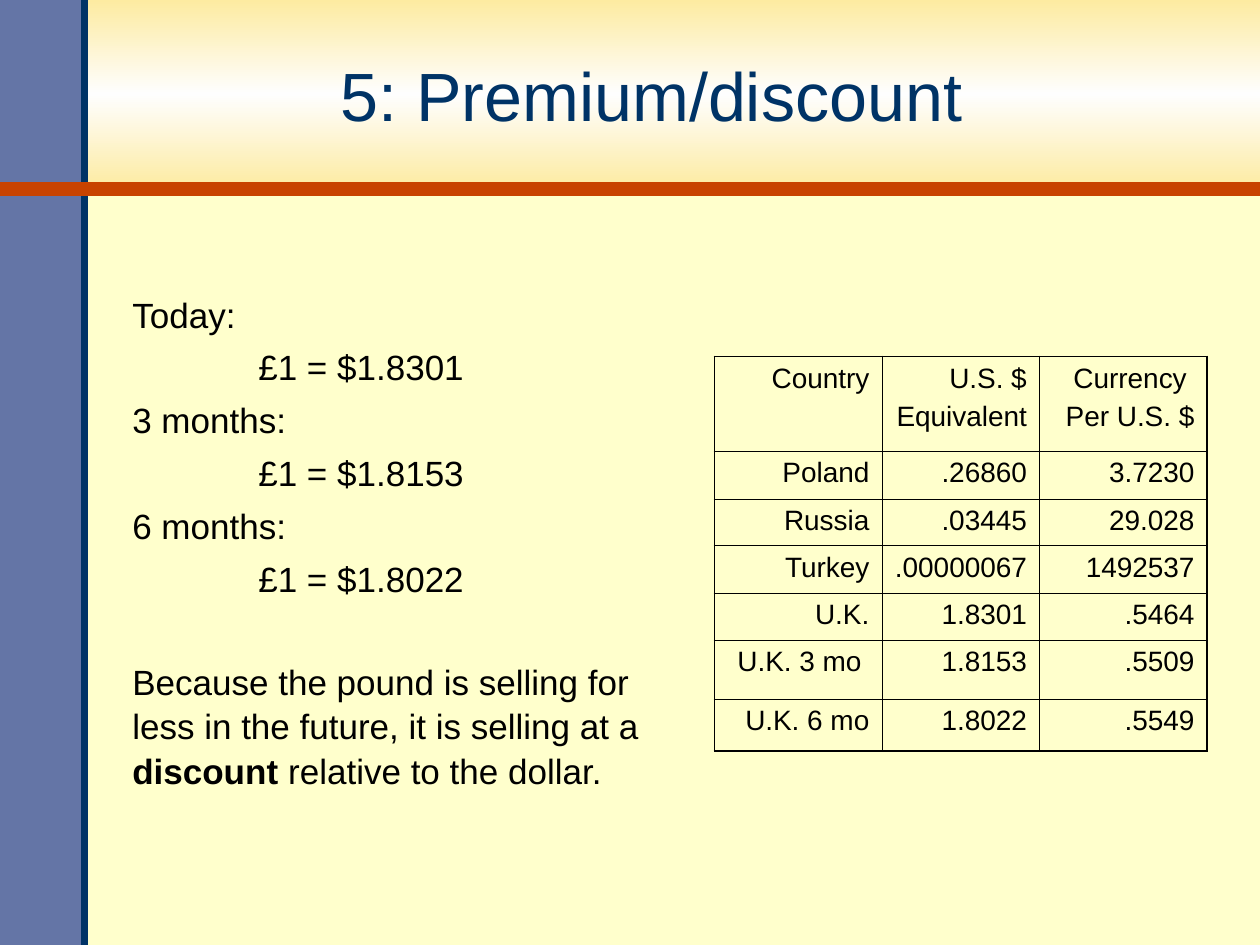
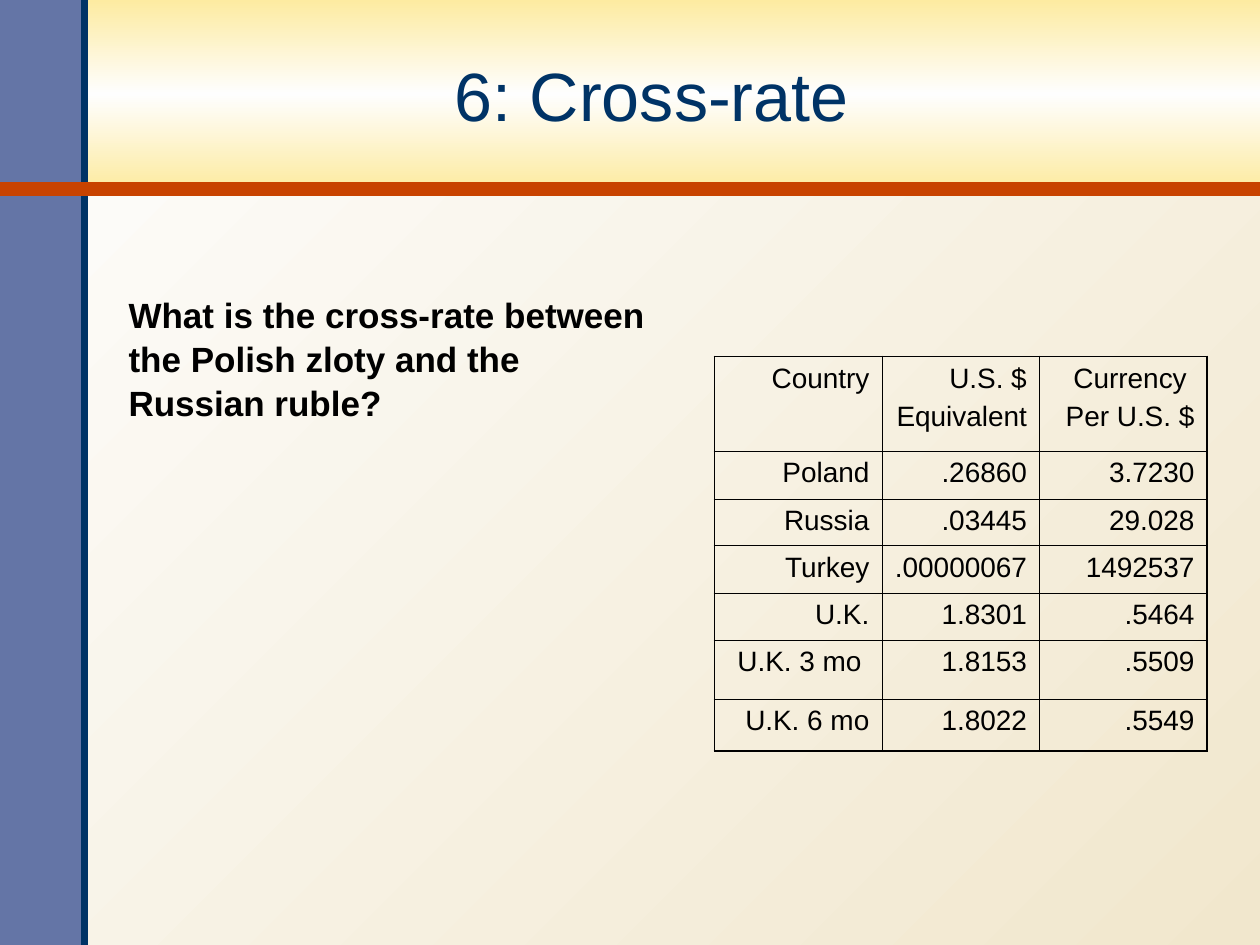
from copy import deepcopy

from lxml import etree
from pptx import Presentation
from pptx import util as u
from pptx.dml.color import RGBColor
from pptx.enum import shapes, text
from pptx.oxml.ns import qn

WIDTH, HEIGHT = u.Inches(10), u.Inches(7.5)
FONT = "Arial"
BLACK = RGBColor(0x00, 0x00, 0x00)
NAVY = RGBColor(0x00, 0x33, 0x66)
SLATE = RGBColor(0x64, 0x75, 0xA6)
RUST = RGBColor(0xC8, 0x43, 0x00)
GOLD = RGBColor(0xFD, 0xEB, 0xA1)
WHITE = RGBColor(0xFE, 0xFE, 0xFE)
CREAM = RGBColor(0xFF, 0xFF, 0xCC)
SAND = RGBColor(0xF1, 0xE7, 0xCD)

BAND_HEIGHT = HEIGHT // 5
SIDEBAR_WIDTH = u.Inches(0.67)
THIN, THICK = u.Pt(0.45), u.Pt(1.08)
COLUMN_WIDTHS = [1.33, 1.25, 1.33]
ROW_HEIGHTS = [0.75, 0.38, 0.37, 0.38, 0.37, 0.47, 0.41]
RATES = [
    ["Country", "U.S. $\nEquivalent", "Currency \nPer U.S. $"],
    ["Poland", ".26860", "3.7230"],
    ["Russia", ".03445", "29.028"],
    ["Turkey", ".00000067", "1492537"],
    ["U.K.", "1.8301", ".5464"],
    ["U.K. 3 mo ", "1.8153", ".5509"],
    ["U.K. 6 mo", "1.8022", ".5549"],
]


def set_font(paragraph, size, colour=BLACK, bold=False):
    font = paragraph.font
    font.name, font.size, font.bold = FONT, u.Pt(size), bold
    font.color.rgb = colour


def paint_gradient(fill, element, colours, angle):
    """Spread the colours evenly; element is the XML that holds the fill."""
    fill.gradient()
    fill.gradient_angle = angle
    stop_list = element.xpath(".//a:gsLst")[0]
    for _ in colours[2:]:
        stop_list.append(deepcopy(stop_list[-1]))
    for index, (stop, colour) in enumerate(zip(fill.gradient_stops, colours)):
        stop.position = index / (len(colours) - 1)
        stop.color.rgb = colour


def add_block(slide, width, height):
    block = slide.shapes.add_shape(
        shapes.MSO_SHAPE.RECTANGLE, 0, 0, width, height)
    block.shadow.inherit = False
    block.line.fill.background()
    return block


def add_rule(slide, start, end, colour, weight):
    rule = slide.shapes.add_connector(
        shapes.MSO_CONNECTOR.STRAIGHT, *start, *end)
    rule.line.color.rgb = colour
    rule.line.width = u.Pt(weight)
    etree.SubElement(rule.element.spPr, qn("a:effectLst"))
    return rule


def build_frame(slide):
    """Draw the bands and rules, then move them to the slide's layout."""
    band = add_block(slide, WIDTH, BAND_HEIGHT)
    paint_gradient(band.fill, band.element, [GOLD, WHITE, GOLD], 90)
    sidebar = add_block(slide, SIDEBAR_WIDTH, HEIGHT)
    sidebar.fill.solid()
    sidebar.fill.fore_color.rgb = SLATE
    upright = add_rule(slide, (SIDEBAR_WIDTH, HEIGHT), (SIDEBAR_WIDTH, 0),
                       NAVY, 4)
    crossbar = add_rule(slide, (0, BAND_HEIGHT), (WIDTH, BAND_HEIGHT), RUST, 8)
    layout_tree = slide.slide_layout.element.cSld.spTree
    for index, shape in enumerate([band, sidebar, upright, crossbar], start=2):
        layout_tree.insert(index, shape.element)


def set_title(slide, wording):
    title = slide.shapes.title
    title.left, title.top = u.Inches(0.65), u.Inches(0.15)
    title.width, title.height = u.Inches(9.04), u.Inches(1.2)
    title.text_frame.text = wording
    title.text_frame.vertical_anchor = text.MSO_ANCHOR.MIDDLE
    paragraph = title.text_frame.paragraphs[0]
    paragraph.alignment = text.PP_ALIGN.CENTER
    set_font(paragraph, 39, NAVY)


def add_body(slide, left_inset):
    box = slide.shapes.add_textbox(
        u.Inches(0.85), u.Inches(1.81), u.Inches(4.45), u.Inches(5.19))
    frame = box.text_frame
    frame.word_wrap = True
    frame.margin_left, frame.margin_top = u.Inches(left_inset), u.Inches(0.5)
    return frame


def add_line(frame, wording, space=5, bold=False):
    """Add a paragraph; the first one takes the frame's empty paragraph."""
    first = not frame.text
    paragraph = frame.paragraphs[0] if first else frame.add_paragraph()
    paragraph.space_before = u.Pt(0 if first else space)
    paragraph.line_spacing = 1.05
    if wording.startswith("\t"):
        tabs = etree.SubElement(
            paragraph._p.get_or_add_pPr(), qn("a:tabLst"))
        etree.SubElement(tabs, qn("a:tab"), pos=str(u.Inches(1)), algn="l")
    set_font(paragraph, 20, bold=bold)
    paragraph.add_run().text = wording
    return paragraph


def set_borders(cell, left, right, top, bottom):
    properties = cell._tc.get_or_add_tcPr()
    sides = {"a:lnL": left, "a:lnR": right, "a:lnT": top, "a:lnB": bottom}
    for index, (tag, weight) in enumerate(sides.items()):
        border = etree.Element(qn(tag), w=str(weight))
        fill = etree.SubElement(border, qn("a:solidFill"))
        etree.SubElement(fill, qn("a:srgbClr"), val=str(BLACK))
        properties.insert(index, border)


def add_rate_table(slide):
    last_row, last_column = len(RATES) - 1, len(COLUMN_WIDTHS) - 1
    table = slide.shapes.add_table(
        len(RATES), len(COLUMN_WIDTHS), u.Inches(5.67), u.Inches(2.83),
        u.Inches(sum(COLUMN_WIDTHS)), u.Inches(sum(ROW_HEIGHTS))).table
    table.first_row = table.horz_banding = False
    for column, width in zip(table.columns, COLUMN_WIDTHS):
        column.width = u.Inches(width)
    for row, height in zip(table.rows, ROW_HEIGHTS):
        row.height = u.Inches(height)
    for r, values in enumerate(RATES):
        for c, value in enumerate(values):
            cell = table.cell(r, c)
            cell.text = value
            cell.fill.background()
            edges = [c == 0, c == last_column, r == 0, r == last_row]
            set_borders(cell, *(THICK if edge else THIN for edge in edges))
            for index, paragraph in enumerate(cell.text_frame.paragraphs):
                paragraph.alignment = text.PP_ALIGN.RIGHT
                paragraph.space_before = u.Pt(4 if index else 0)
                set_font(paragraph, 16)


def build_premium_slide(slide):
    slide.background.fill.solid()
    slide.background.fill.fore_color.rgb = CREAM
    set_title(slide, "5: Premium/discount")
    body = add_body(slide, 0.2)
    for term, rate in [("Today", "1.8301"), ("3 months", "1.8153"),
                       ("6 months", "1.8022")]:
        add_line(body, f"{term}:")
        add_line(body, f"\t£1 = ${rate}")
    conclusion = add_line(
        body, "Because the pound is selling for less in the future, "
              "it is selling at a ", space=34)
    discount = conclusion.add_run()
    discount.text = "discount"
    discount.font.bold = True
    conclusion.add_run().text = " relative to the dollar."
    add_rate_table(slide)


def build_cross_rate_slide(slide):
    paint_gradient(slide.background.fill, slide.element, [SAND, WHITE], 135)
    set_title(slide, "6: Cross-rate")
    add_line(add_body(slide, 0.17),
             "What is the cross-rate between the Polish zloty and the "
             "Russian ruble?", bold=True)
    add_rate_table(slide)


def main():
    presentation = Presentation()
    presentation.slide_width, presentation.slide_height = WIDTH, HEIGHT
    title_only = presentation.slide_layouts[5]
    premium = presentation.slides.add_slide(title_only)
    build_frame(premium)
    build_premium_slide(premium)
    build_cross_rate_slide(presentation.slides.add_slide(title_only))
    presentation.save("out.pptx")


if __name__ == "__main__":
    main()
